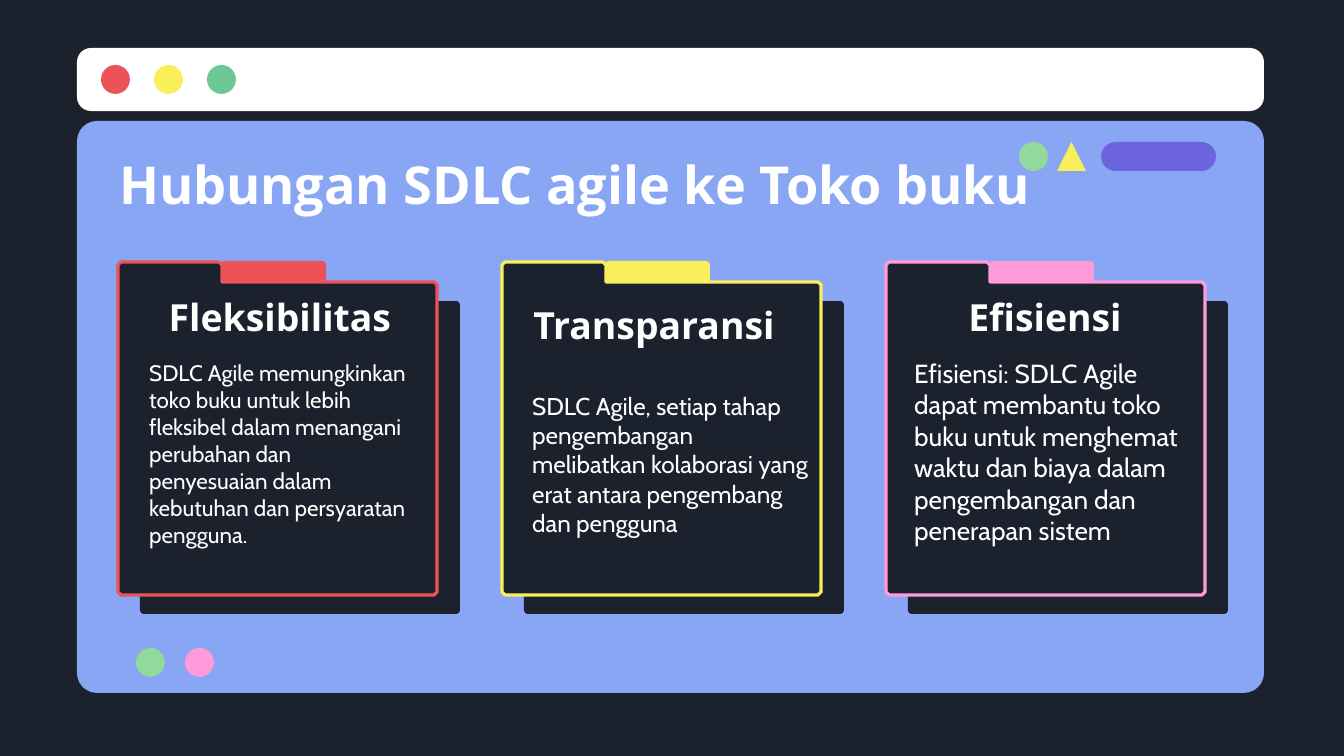
import pptx
import pptx.util
import pptx.dml.color
import pptx.enum.shapes
import pptx.enum.text

PX = 914400 / 134.4
KIND = pptx.enum.shapes.MSO_SHAPE
ALIGN = pptx.enum.text.PP_ALIGN
ANCHOR = pptx.enum.text.MSO_ANCHOR
COLORS = {
    "dark": "1B222D", "white": "FFFFFF", "blue": "88A6F3", "red": "EB5358",
    "yellow": "F8EF5B", "teal": "6DC797", "green": "92D99C",
    "purple": "6D65E0", "pink": "FF9BDA",
}
color = {name: pptx.dml.color.RGBColor.from_string(value) for name, value in COLORS.items()}

deck = pptx.Presentation()
deck.slide_width = round(1344 * PX)
deck.slide_height = round(756 * PX)
page = deck.slides.add_slide(deck.slide_layouts[6])
page.background.fill.solid()
page.background.fill.fore_color.rgb = color["dark"]


def add_block(kind, place, fill, radius=None):
    block = page.shapes.add_shape(kind, *[round(value * PX) for value in place])
    block.shadow.inherit = False
    block.fill.solid()
    block.fill.fore_color.rgb = color[fill]
    block.line.fill.background()
    if radius is not None:
        block.adjustments[0] = radius / min(place[2:])


def add_text(text, place, size, font, bold=False, align=ALIGN.LEFT, anchor=ANCHOR.TOP):
    box = page.shapes.add_textbox(*[round(value * PX) for value in place])
    frame = box.text_frame
    inset = pptx.util.Inches(0.1)
    settings = {
        "word_wrap": True, "vertical_anchor": anchor, "margin_left": inset,
        "margin_right": inset, "margin_top": inset, "margin_bottom": inset,
    }
    for name, value in settings.items():
        setattr(frame, name, value)
    para = frame.paragraphs[0]
    para.alignment = align
    span = para.add_run()
    span.text = text
    for name, value in {"name": font, "size": pptx.util.Pt(size), "bold": bold}.items():
        setattr(span.font, name, value)
    span.font.color.rgb = color["white"]


add_block(KIND.ROUNDED_RECTANGLE, (77, 121, 1187, 572), "blue", 20)
add_block(KIND.ROUNDED_RECTANGLE, (77, 48, 1187, 63), "white", 14)
for index, fill in enumerate(("red", "yellow", "teal")):
    add_block(KIND.OVAL, (101 + 53 * index, 65, 29, 29), fill)

add_block(KIND.OVAL, (1019, 142, 29, 29), "green")
add_block(KIND.ISOSCELES_TRIANGLE, (1057, 142, 29, 29), "yellow")
add_block(KIND.ROUNDED_RECTANGLE, (1101, 142, 115, 29), "purple", 14.5)
for left, fill in ((185, "pink"), (136, "green")):
    add_block(KIND.OVAL, (left, 648, 29, 29), fill)

add_text("Hubungan SDLC agile ke Toko buku", (106, 142, 1133, 84), 28,
         "Open Sans", True, anchor=ANCHOR.MIDDLE)

FOLDER = [
    (3, 0), (101, 0), (104, 3), (104, 20), (316, 20), (319, 23),
    (319, 330), (316, 333), (3, 333), (0, 330), (0, 3),
]
cards = [
    ("red", "Fleksibilitas", (136, 278, 288, 78),
     "SDLC Agile memungkinkan toko buku untuk lebih fleksibel dalam menangani "
     "perubahan dan penyesuaian dalam kebutuhan dan persyaratan pengguna. ",
     (136, 346, 288, 235), 12),
    ("yellow", "Transparansi", (510, 286, 288, 78),
     "SDLC Agile, setiap tahap pengembangan melibatkan kolaborasi yang erat "
     "antara pengembang dan pengguna",
     (519, 378, 304, 203), 13),
    ("pink", "Efisiensi", (901, 278, 288, 78),
     "Efisiensi: SDLC Agile dapat membantu toko buku untuk menghemat waktu dan "
     "biaya dalam pengembangan dan penerapan sistem",
     (901, 344, 307, 224), 14),
]
for index, (accent, heading, heading_place, body, body_place, size) in enumerate(cards):
    left, top = 118 + 384 * index, 262
    add_block(KIND.ROUNDED_RECTANGLE, (left + 22, top + 39, 320, 313), "dark", 4)
    add_block(KIND.ROUNDED_RECTANGLE, (left + 103, top - 1, 105, 40), accent, 4)
    points = [(left + x, top + y) for x, y in FOLDER]
    builder = page.shapes.build_freeform(*points[0], scale=PX)
    builder.add_line_segments(points[1:], close=True)
    folder = builder.convert_to_shape()
    folder.shadow.inherit = False
    folder.fill.solid()
    folder.fill.fore_color.rgb = color["dark"]
    folder.line.color.rgb = color[accent]
    folder.line.width = pptx.util.Pt(1.75)
    add_text(heading, heading_place, 20, "Open Sans", True, ALIGN.CENTER, ANCHOR.MIDDLE)
    add_text(body, body_place, size, "Cabin")

deck.save("out.pptx")
